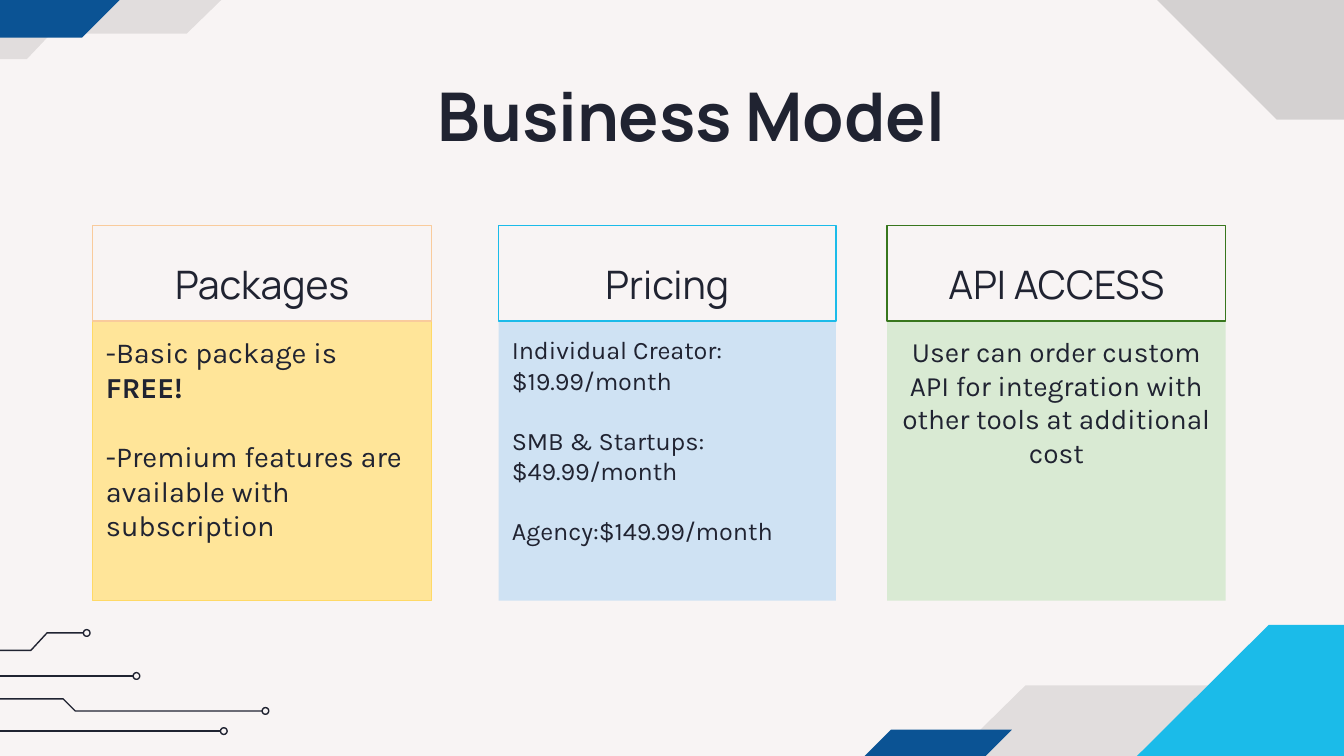
from lxml.etree import SubElement
from pptx import Presentation
from pptx.dml.color import RGBColor
from pptx.enum.shapes import MSO_CONNECTOR, MSO_SHAPE
from pptx.enum.text import MSO_ANCHOR, PP_ALIGN
from pptx.oxml.ns import qn
from pptx.util import Inches, Pt

INK = RGBColor(0x20, 0x23, 0x31)
PAPER = RGBColor(0xF8, 0xF4, 0xF4)
BLACK = RGBColor(0, 0, 0)
NAVY = RGBColor(0x0B, 0x53, 0x94)
CYAN = RGBColor(0x1B, 0xBB, 0xE9)
YELLOW = RGBColor(0xFF, 0xE5, 0x99)
GOLD = RGBColor(0xFF, 0xD9, 0x66)
PEACH = RGBColor(0xF9, 0xCB, 0x9C)
PALE_BLUE = RGBColor(0xCF, 0xE2, 0xF3)
PALE_GREEN = RGBColor(0xD9, 0xEA, 0xD3)
GREEN = RGBColor(0x38, 0x76, 0x1D)

prs = Presentation()
prs.slide_width, prs.slide_height = Inches(10), Inches(10 * 9 / 16)
slide = prs.slides.add_slide(prs.slide_layouts[6])
slide.background.fill.solid()
slide.background.fill.fore_color.rgb = PAPER
shapes = slide.shapes


def add_outline(points, close):
    """Draw a freeform through points given in inches."""
    corners = [(Inches(x), Inches(y)) for x, y in points]
    builder = shapes.build_freeform(*corners[0])
    builder.add_line_segments(corners[1:], close=close)
    return builder.convert_to_shape()


def style(shape, fill, line):
    """Set fill and line colours; None means no paint."""
    shape.shadow.inherit = False
    if fill is None:
        shape.fill.background()
    else:
        shape.fill.solid()
        shape.fill.fore_color.rgb = fill
    if line is None:
        shape.line.fill.background()
    else:
        shape.line.color.rgb = line
        shape.line.width = Pt(0.75)


# Translucent grey corners
grey_corners = [
    (9, [(11.92, 4.8), (11.92, 8.1), (6.33, 8.1), (6.33, 5.68), (7.04, 5.68),
         (7.63, 5.1), (9.27, 5.1), (9.58, 4.8)]),
    (14, [(11.19, 0.89), (11.19, -0.97), (7.64, -0.97), (9.5, 0.89)]),
    (9, [(-1.23, 0.44), (-1.23, -1.57), (2.18, -1.57), (2.18, -0.1),
         (1.75, -0.1), (1.39, 0.25), (0.38, 0.25), (0.2, 0.44)]),
]
for opacity, points in grey_corners:
    corner = add_outline(points, True)
    style(corner, BLACK, None)
    color = corner.fill._xPr.find(qn("a:solidFill"))[0]
    SubElement(color, qn("a:alpha")).set("val", str(opacity * 1000))

# Circuit traces, each ending in a node
traces = [
    [(-0.67, 5.03), (0.99, 5.03)],
    [(-1.04, 4.84), (0.23, 4.84), (0.35, 4.71), (0.62, 4.71)],
    [(-1.36, 5.2), (0.47, 5.2), (0.56, 5.29), (1.95, 5.29)],
    [(-1.61, 5.44), (1.64, 5.44)],
]
NODE = 0.05
for points in traces:
    end_x, end_y = points[-1]
    if len(points) == 2:
        trace = shapes.add_connector(
            MSO_CONNECTOR.STRAIGHT, *[Inches(v) for point in points for v in point])
        trace.line.color.rgb = INK
        trace.line.width = Pt(0.75)
        SubElement(trace._element.spPr, qn("a:effectLst"))
    else:
        style(add_outline(points, False), None, INK)
    node = shapes.add_shape(MSO_SHAPE.OVAL, Inches(end_x), Inches(end_y - NODE / 2),
                            Inches(NODE), Inches(NODE))
    style(node, None, INK)

# Solid corners
solid_corners = [
    (NAVY, [(-0.65, 0.28), (-0.36, -0.01), (0.9, -0.01), (0.61, 0.28)]),
    (NAVY, [(6.43, 5.63), (6.63, 5.43), (7.53, 5.43), (7.33, 5.63)]),
    (CYAN, [(11.3, 4.65), (11.3, 6.69), (7.39, 6.69), (9.44, 4.65)]),
]
for fill, points in solid_corners:
    style(add_outline(points, True), fill, None)

# Cards: left, width, heading, heading line, fill, line, size, gap, alignment, text
cards = [
    (0.69, 2.52, "Packages", PEACH, YELLOW, GOLD, 15.5, 18.5, PP_ALIGN.LEFT,
     ["-Basic package is FREE!",
      "-Premium features are available with subscription"]),
    (3.71, 2.51, "Pricing", CYAN, PALE_BLUE, None, 13.5, 16, PP_ALIGN.LEFT,
     ["Individual Creator: $19.99/month", "SMB & Startups: $49.99/month",
      "Agency:$149.99/month"]),
    (6.6, 2.52, "API ACCESS", GREEN, PALE_GREEN, None, 15, 0, PP_ALIGN.CENTER,
     ["User can order custom API for integration with other tools at additional cost"]),
]
HEADER_TOP, HEADER_HEIGHT = 1.68, 0.71
texts = []
for left, width, heading, heading_line, fill, line, size, gap, align, body in cards:
    details = shapes.add_shape(
        MSO_SHAPE.RECTANGLE, Inches(left), Inches(HEADER_TOP + HEADER_HEIGHT),
        Inches(width), Inches(2.08))
    style(details, fill, line)
    texts.append((details, body, "Karla", size, gap, align, MSO_ANCHOR.TOP))
    header = shapes.add_shape(MSO_SHAPE.RECTANGLE, Inches(left), Inches(HEADER_TOP),
                              Inches(width), Inches(HEADER_HEIGHT))
    style(header, None, heading_line)
    texts.append((header, [heading], "Manrope", 21, 0, PP_ALIGN.CENTER,
                  MSO_ANCHOR.BOTTOM))

title = shapes.add_textbox(Inches(2.38), Inches(0.45), Inches(5.53), Inches(1.03))
texts.append((title, ["Business Model"], "Manrope", 36, 0, PP_ALIGN.CENTER,
              MSO_ANCHOR.TOP))

for box, lines, font, size, gap, align, anchor in texts:
    frame = box.text_frame
    frame.text = "\n".join(lines)
    frame.word_wrap = True
    frame.vertical_anchor = anchor
    frame.margin_left = frame.margin_right = Inches(0.1)
    frame.margin_top = frame.margin_bottom = Inches(0.1)
    for index, paragraph in enumerate(frame.paragraphs):
        paragraph.alignment = align
        if index:
            paragraph.space_before = Pt(gap)
        before, emphasis, _ = paragraph.text.partition("FREE!")
        if emphasis:
            paragraph.runs[0].text = before
            paragraph.add_run().text = emphasis
        for run in paragraph.runs:
            run.font.name = font
            run.font.size = Pt(size)
            run.font.color.rgb = INK
            run.font.bold = box is title or run.text == "FREE!"

prs.save("out.pptx")
